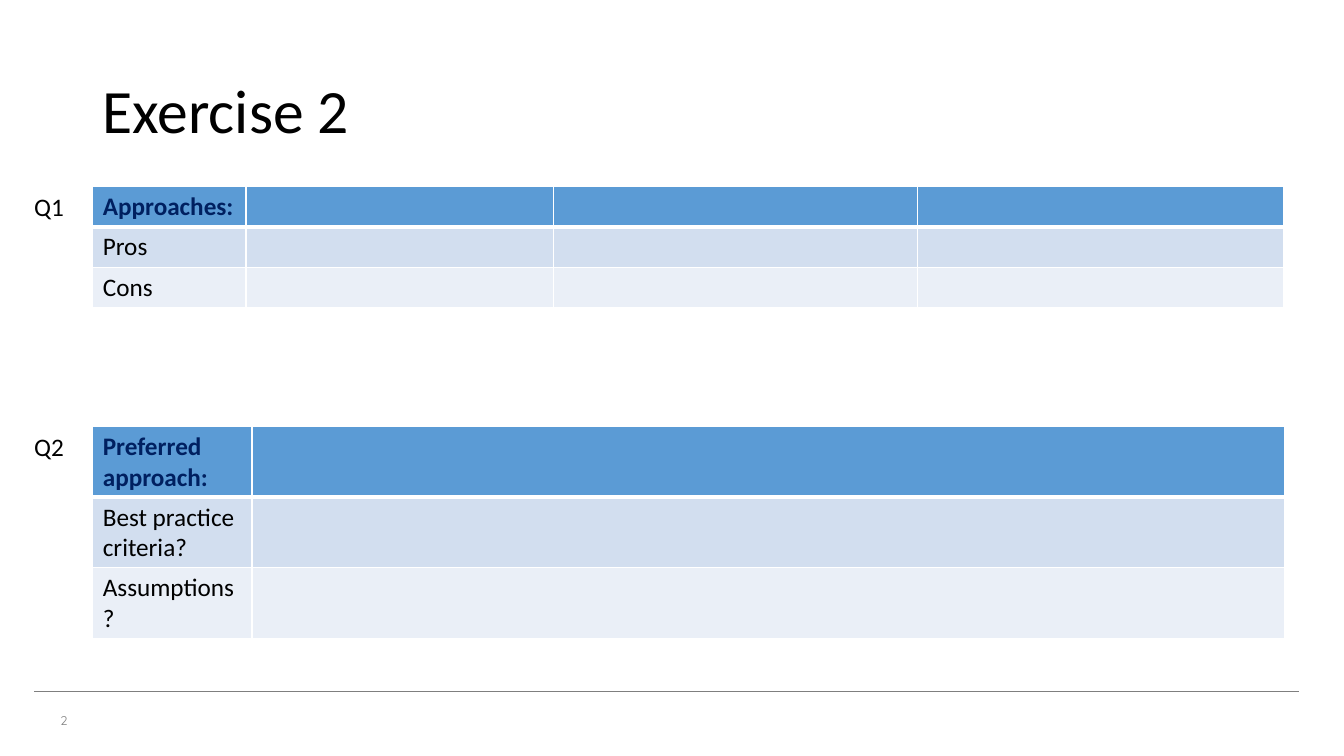
from lxml import etree
from pptx import Presentation
from pptx.dml.color import RGBColor
from pptx.enum.shapes import MSO_CONNECTOR
from pptx.enum.text import MSO_ANCHOR
from pptx.oxml.ns import qn
from pptx.util import Inches, Pt

LINE = MSO_CONNECTOR.STRAIGHT
TOP, MIDDLE = MSO_ANCHOR.TOP, MSO_ANCHOR.MIDDLE

BLACK = RGBColor(0x00, 0x00, 0x00)
GRAY = RGBColor(0x7F, 0x7F, 0x7F)
NAVY = RGBColor(0x00, 0x20, 0x60)
WHITE = RGBColor(0xFF, 0xFF, 0xFF)
BLUE = RGBColor(0x5B, 0x9B, 0xD5)
BANDS = [RGBColor(0xD2, 0xDE, 0xEF), RGBColor(0xEA, 0xEF, 0xF7)]

TITLE = "Exercise 2"
PAGE = "2"
# label, row heads, column widths, top, row height
QUESTIONS = [
    ("Q1", ["Approaches:", "Pros", "Cons"], [1.52, 3.05, 3.61, 3.63], 1.85, 0.4),
    ("Q2", ["Preferred approach:", "Best practice criteria?", "Assumptions?"],
     [1.58, 10.24], 4.23, 0.7),
]
LEFT = 0.92
LABEL = 0.24


def style(para, size, color, font="Calibri", bold=False):
    for run in para.runs:
        run.font.size = Pt(size)
        run.font.name = font
        run.font.bold = bold
        run.font.color.rgb = color


def add_text(slide, text, box, size, color, font="Calibri", anchor=TOP):
    frame = slide.shapes.add_textbox(*map(Inches, box)).text_frame
    frame.word_wrap = True
    frame.vertical_anchor = anchor
    frame.text = text
    style(frame.paragraphs[0], size, color, font)
    return frame


def add_edges(cell, widths):
    """Draw white cell borders; widths maps each side (L, R, T, B) to points."""
    props = cell._tc.get_or_add_tcPr()
    for side, width in widths.items():
        edge = etree.SubElement(props, qn(f"a:ln{side}"), w=str(Pt(width)))
        fill = etree.SubElement(edge, qn("a:solidFill"))
        etree.SubElement(fill, qn("a:srgbClr"), val=str(WHITE))


def add_grid(slide, heads, widths, top, height):
    frame = slide.shapes.add_table(
        len(heads), len(widths), Inches(LEFT), Inches(top),
        Inches(sum(widths)), Inches(height * len(heads)))
    table = frame.table
    for col, width in zip(table.columns, widths):
        col.width = Inches(width)
    for i, head in enumerate(heads):
        table.rows[i].height = Inches(height)
        table.cell(i, 0).text = head
        style(table.cell(i, 0).text_frame.paragraphs[0], 18,
              BLACK if i else NAVY, bold=i == 0)
        for cell in table.rows[i].cells:
            add_edges(cell, {"L": 1, "R": 1, "T": 3 if i == 1 else 1,
                             "B": 1 if i else 3})
            cell.fill.solid()
            cell.fill.fore_color.rgb = BANDS[(i - 1) % 2] if i else BLUE


def add_rule(slide, left, right, y):
    rule = slide.shapes.add_connector(
        LINE, Inches(left), Inches(y), Inches(right), Inches(y))
    rule.line.color.rgb = GRAY
    rule.line.width = Pt(0.25)
    etree.SubElement(rule._element.spPr, qn("a:effectLst"))


def main():
    deck = Presentation()
    deck.slide_width, deck.slide_height = Inches(13.33), Inches(7.5)
    slide = deck.slides.add_slide(deck.slide_layouts[6])

    add_text(slide, PAGE, (0.5, 6.95, 1.07, 0.4), 9, GRAY, "Quicksand", MIDDLE)
    add_rule(slide, 0.34, 12.88, 6.86)
    title = add_text(slide, TITLE, (LEFT, 0.4, 11.5, 1.45), 44, BLACK,
                     anchor=MIDDLE)
    title.paragraphs[0].line_spacing = 0.9
    for label, heads, widths, top, height in QUESTIONS:
        add_grid(slide, heads, widths, top, height)
        add_text(slide, label, (LABEL, top, LEFT - LABEL, 0.4), 18, BLACK)

    deck.save("out.pptx")


if __name__ == "__main__":
    main()
